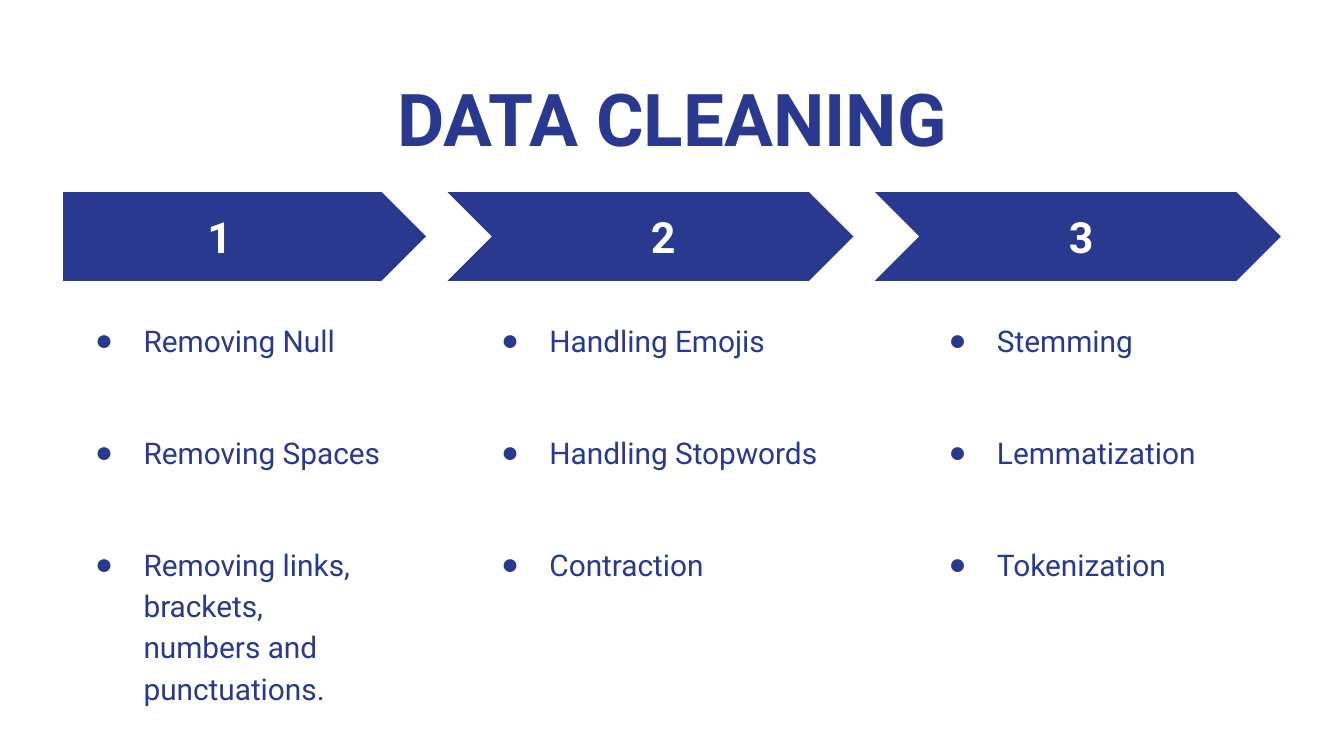
from dataclasses import dataclass

from lxml import etree
from pptx import Presentation
from pptx.dml.color import RGBColor
from pptx.enum.shapes import MSO_SHAPE
from pptx.enum.text import MSO_ANCHOR, PP_ALIGN
from pptx.oxml.ns import qn
from pptx.util import Inches, Pt


@dataclass(frozen=True)
class Theme:
    font: str = "Roboto"
    bullet_font: str = "Arial"
    navy: RGBColor = RGBColor(0x2A, 0x39, 0x90)
    white: RGBColor = RGBColor(0xFF, 0xFF, 0xFF)
    title_size: int = 39
    number_size: int = 23
    task_size: int = 16
    task_gap: int = 38
    line_spacing: float = 1.15


@dataclass(frozen=True)
class Step:
    outline: MSO_SHAPE
    arrow_left: float
    arrow_width: float
    number_left: float
    tasks_left: float
    tasks_width: float
    tasks: tuple


THEME = Theme()
ARROW_TOP, ARROW_HEIGHT = 1.43, 0.66
NUMBER_TOP, NUMBER_WIDTH, NUMBER_HEIGHT = 1.47, 1.19, 0.59
TASKS_TOP, TASKS_HEIGHT = 2.26, 2.9

STEPS = (
    Step(MSO_SHAPE.PENTAGON, 0.47, 2.7, 1.04, 0.47, 2.5,
         ("Removing Null", "Removing Spaces",
          "Removing links, brackets, numbers and punctuations.")),
    Step(MSO_SHAPE.CHEVRON, 3.33, 3.02, 4.34, 3.49, 2.7,
         ("Handling Emojis", "Handling Stopwords", "Contraction")),
    Step(MSO_SHAPE.CHEVRON, 6.51, 3.02, 7.45, 6.82, 2.7,
         ("Stemming", "Lemmatization", "Tokenization")),
)


def add_frame(slide, left, top, width, height):
    frame = slide.shapes.add_textbox(
        Inches(left), Inches(top), Inches(width), Inches(height)).text_frame
    frame.word_wrap = True
    frame.vertical_anchor = MSO_ANCHOR.TOP
    frame.margin_left = frame.margin_right = Inches(0.1)
    frame.margin_top = frame.margin_bottom = Inches(0.1)
    return frame


def write(paragraph, text, size, color, bold=False):
    paragraph.text = text
    paragraph.font.name = THEME.font
    paragraph.font.size = Pt(size)
    paragraph.font.color.rgb = color
    paragraph.font.bold = bold


def add_heading(slide, text, box, size, color):
    heading = add_frame(slide, *box).paragraphs[0]
    write(heading, text, size, color, bold=True)
    heading.alignment = PP_ALIGN.CENTER


def add_bullet(paragraph):
    properties = paragraph._p.get_or_add_pPr()
    properties.set("marL", str(Inches(0.5)))
    properties.set("indent", str(Inches(-0.36)))
    bullet_color = etree.SubElement(properties, qn("a:buClr"))
    etree.SubElement(bullet_color, qn("a:srgbClr"), val=str(THEME.navy))
    etree.SubElement(properties, qn("a:buFont"), typeface=THEME.bullet_font)
    etree.SubElement(properties, qn("a:buChar"), char="●")


def add_arrow(slide, step):
    arrow = slide.shapes.add_shape(
        step.outline, Inches(step.arrow_left), Inches(ARROW_TOP),
        Inches(step.arrow_width), Inches(ARROW_HEIGHT))
    arrow.adjustments[0] = 0.5
    arrow.shadow.inherit = False
    arrow.fill.solid()
    arrow.fill.fore_color.rgb = THEME.navy
    arrow.line.fill.background()


def add_tasks(slide, step):
    frame = add_frame(slide, step.tasks_left, TASKS_TOP,
                      step.tasks_width, TASKS_HEIGHT)
    for index, task in enumerate(step.tasks):
        paragraph = frame.add_paragraph() if index else frame.paragraphs[0]
        add_bullet(paragraph)
        write(paragraph, task, THEME.task_size, THEME.navy)
        paragraph.line_spacing = THEME.line_spacing
        paragraph.space_before = Pt(THEME.task_gap if index else 0)


def main():
    presentation = Presentation()
    presentation.slide_width = Inches(10)
    presentation.slide_height = Inches(10) * 9 // 16
    slide = presentation.slides.add_slide(presentation.slide_layouts[6])

    add_heading(slide, "DATA CLEANING", (0.34, 0.45, 9.32, 0.66),
                THEME.title_size, THEME.navy)
    for number, step in enumerate(STEPS, start=1):
        add_arrow(slide, step)
        add_tasks(slide, step)
        add_heading(slide, str(number),
                    (step.number_left, NUMBER_TOP, NUMBER_WIDTH, NUMBER_HEIGHT),
                    THEME.number_size, THEME.white)

    presentation.save("out.pptx")


if __name__ == "__main__":
    main()
